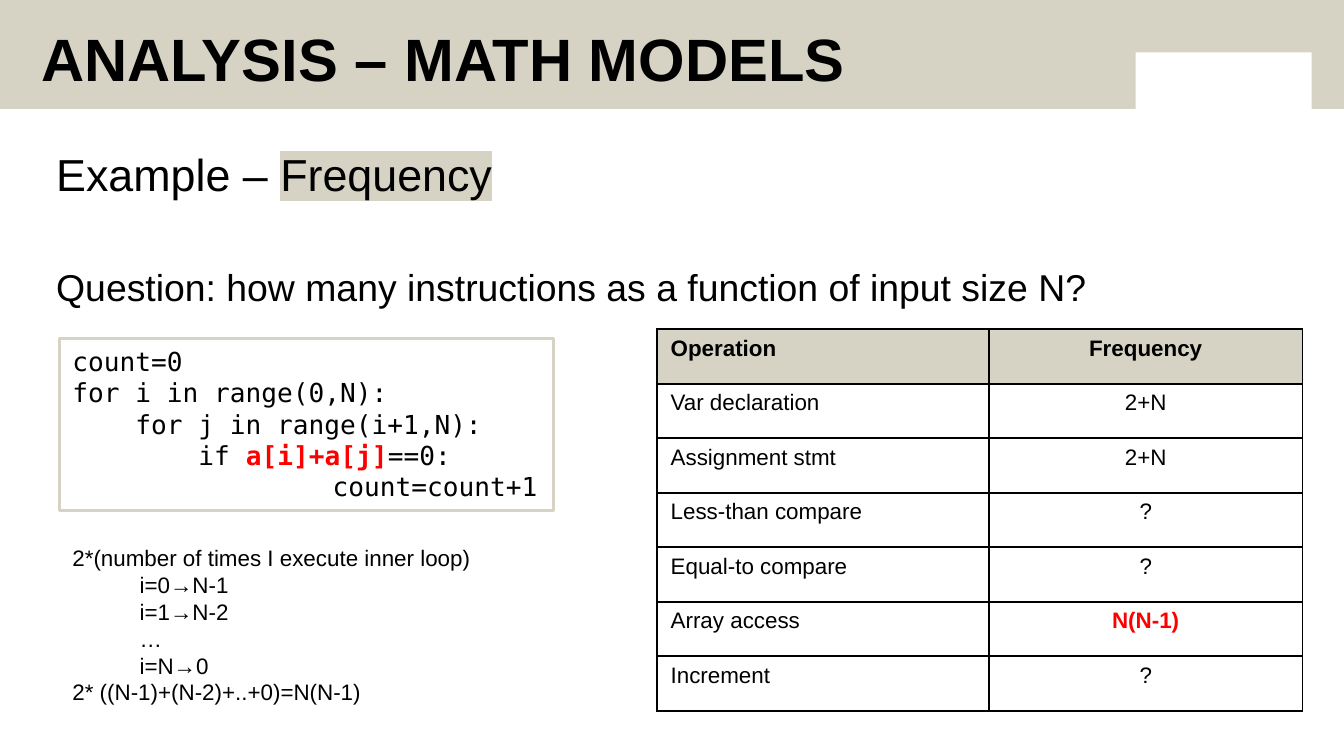
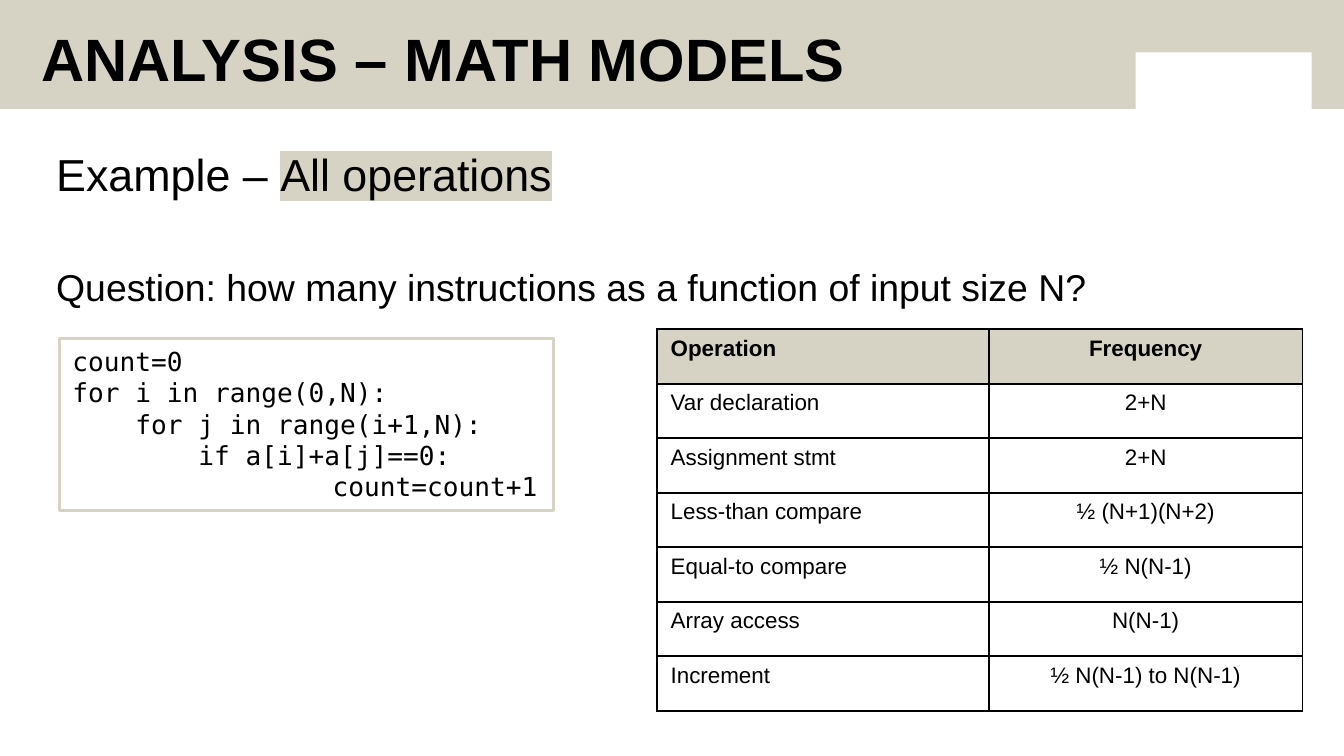
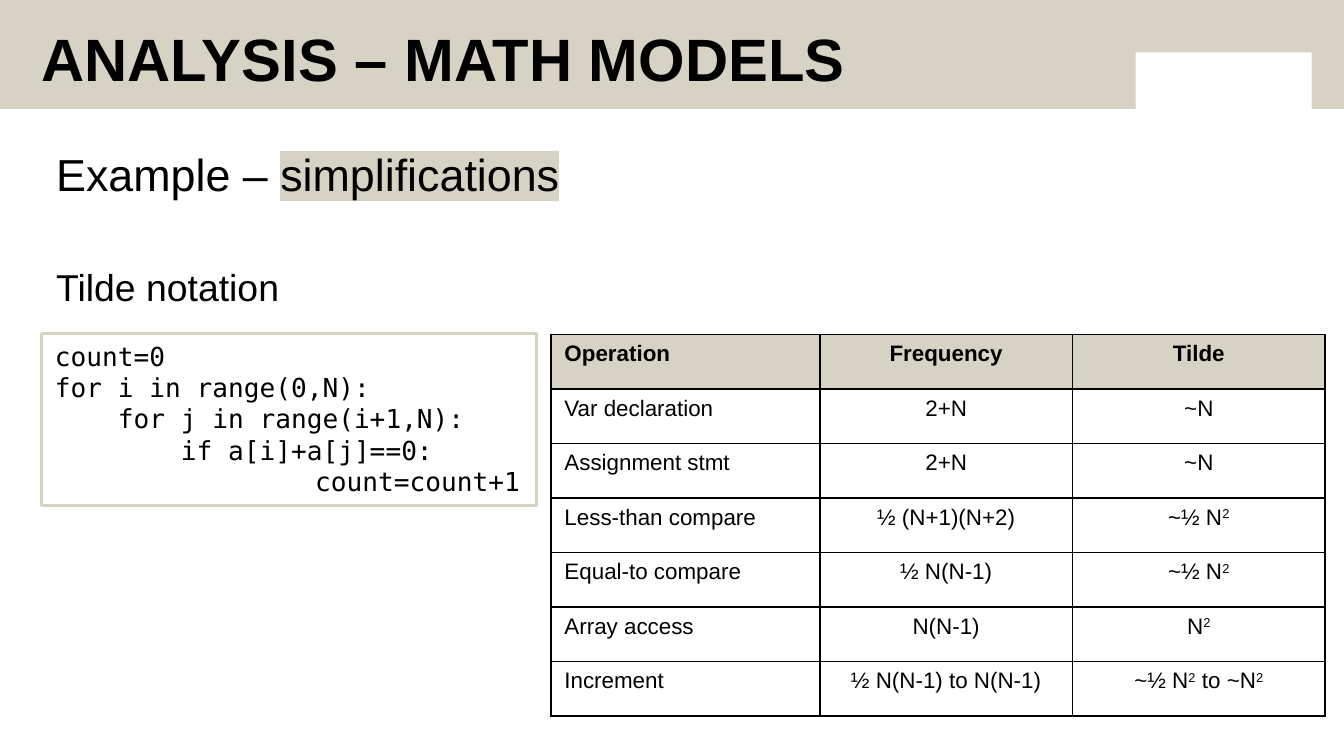
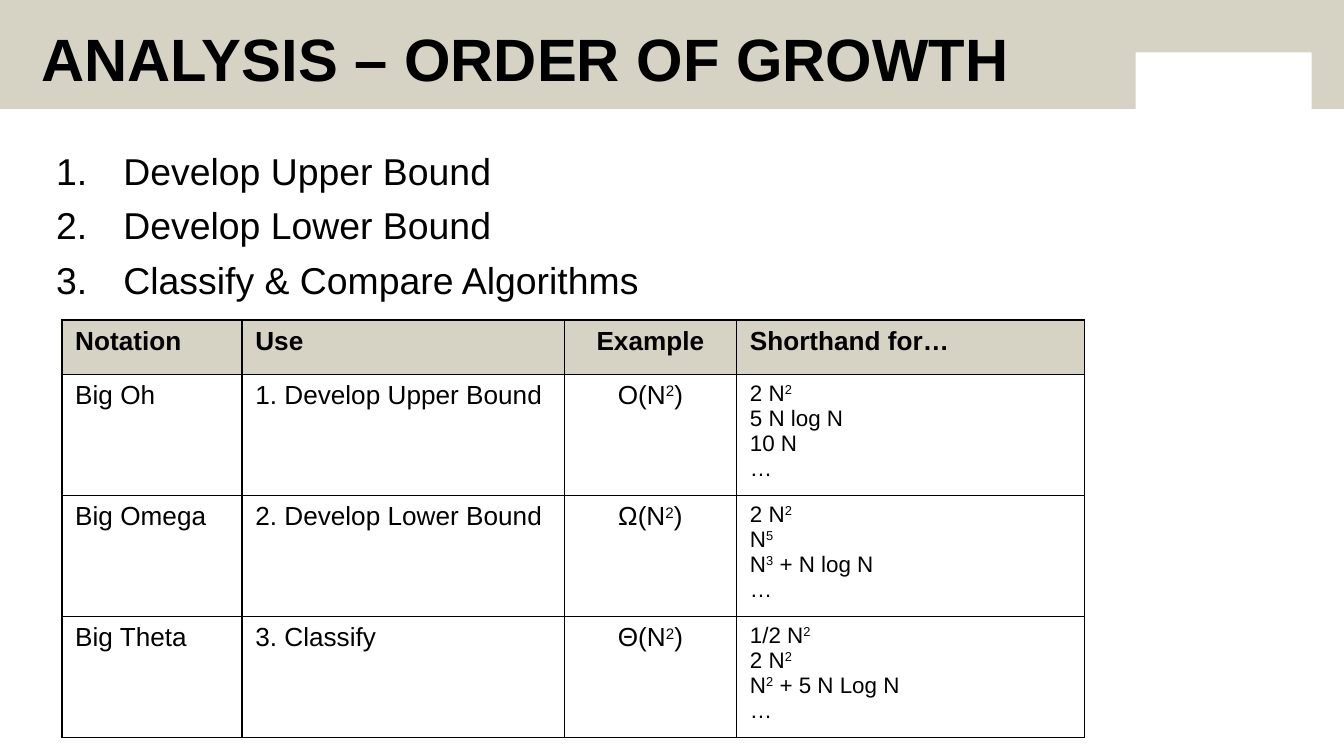
from dataclasses import dataclass

from lxml import etree
from pptx import Presentation, util as u
from pptx.dml.color import RGBColor
from pptx.enum import shapes, text
from pptx.oxml import ns


@dataclass(frozen=True)
class Theme:
    """Colours, fonts and type sizes shared by the slides."""
    band: str = "D6D2C4"
    ink: str = "000000"
    accent: str = "FF0000"
    sans: str = "Arial"
    mono: str = "DejaVu Sans Mono"
    title: int = 32
    heading: int = 24
    body: int = 20
    code: int = 14
    small: int = 12


@dataclass(frozen=True)
class Run:
    """A stretch of text with one look."""
    text: str
    bold: bool = False
    color: str = Theme.ink
    highlight: bool = False
    raised: bool = False


THEME = Theme()
LEFT, CENTER = text.PP_ALIGN.LEFT, text.PP_ALIGN.CENTER
OPERATIONS = ["Var declaration", "Assignment stmt", "Less-than compare",
              "Equal-to compare", "Array access", "Increment"]
FREQUENCIES = ["2+N", "2+N", "½ (N+1)(N+2)", "½ N(N-1)", "N(N-1)", "½ N(N-1) to N(N-1)"]
TILDES = ["~N", "~N", "~½ N^2", "~½ N^2", "N^2", "~½ N^2 to ~N^2"]
QUESTION = "Question: how many instructions as a function of input size N?"
MATH_TITLE = "ANALYSIS – MATH MODELS"
CODE_BOX = (0.44, 2.52, 3.68, 1.28)
OPERATIONS_BOX = (4.89, 2.45, 4.8, 2.84)
ROW_HEIGHT = 2.84 / 7


def rgb(color):
    """Return a colour object for a hex string."""
    return RGBColor.from_string(color)


def inches(box):
    """Turn a sequence of numbers into lengths."""
    return [u.Inches(value) for value in box]


def add_child(parent, tag, **attributes):
    """Append a DrawingML element to a parent."""
    return etree.SubElement(parent, ns.qn(tag), **attributes)


def as_runs(content, bold=False):
    """Split a string into runs, raising the character after each caret."""
    if not isinstance(content, str):
        return content
    first, *powers = content.split("^")
    runs = [Run(first, bold)]
    for part in powers:
        runs += [Run(part[0], bold, raised=True), Run(part[1:], bold)]
    return [run for run in runs if run.text]


def write(paragraph, content, size, font=THEME.sans, bold=False):
    """Write content into a paragraph run by run."""
    for item in as_runs(content, bold):
        run = paragraph.add_run()
        run.text = item.text
        run.font.size, run.font.name, run.font.bold = u.Pt(size), font, item.bold
        run.font.color.rgb = rgb(item.color)
        properties = run.font._element
        if item.raised:
            properties.set("baseline", "30000")
        if item.highlight:
            highlight = etree.Element(ns.qn("a:highlight"))
            add_child(highlight, "a:srgbClr", val=THEME.band)
            properties.find(ns.qn("a:solidFill")).addnext(highlight)


def paragraphs(frame, count):
    """Yield the given number of paragraphs of an empty frame."""
    for index in range(count):
        yield frame.add_paragraph() if index else frame.paragraphs[0]


def add_text_box(slide, box, wrap=True):
    """Add a text box and return its frame."""
    frame = slide.shapes.add_textbox(*inches(box)).text_frame
    frame.word_wrap = wrap
    return frame


def add_band(slide, box, notch_left, notch_top, notch_right):
    """Add the title band with a plain notch in its lower edge."""
    left, top, width, height = box
    right, bottom = left + width, top + height
    corners = [(left, bottom), (notch_left, bottom), (notch_left, notch_top),
               (notch_right, notch_top), (notch_right, bottom),
               (right, bottom), (right, top)]
    builder = slide.shapes.build_freeform(*inches((left, top)))
    builder.add_line_segments([inches(corner) for corner in corners])
    band = builder.convert_to_shape()
    band.shadow.inherit = False
    band.fill.solid()
    band.fill.fore_color.rgb = rgb(THEME.band)
    band.line.fill.background()


def add_titled_slide(presentation, title):
    """Add a slide with the title band."""
    slide = presentation.slides.add_slide(presentation.slide_layouts[6])
    add_band(slide, (0, 0, 10, 0.81), 8.45, 0.39, 9.76)
    frame = add_text_box(slide, (0.21, 0.17, 8.62, 0.64))
    frame.vertical_anchor = text.MSO_ANCHOR.TOP
    frame.paragraphs[0].line_spacing = 0.9
    write(frame.paragraphs[0], title, THEME.title, bold=True)
    return slide


def add_body(slide):
    """Add the main text area and return its frame."""
    return add_text_box(slide, (0.32, 1.09, 9.14, 4.1))


def add_heading(slide, topic, statement):
    """Write the highlighted example topic and the statement below it."""
    heading, line = paragraphs(add_body(slide), 2)
    heading.line_spacing = line.line_spacing = 0.9
    line.space_before = u.Pt(36.5)
    write(heading, [Run("Example – "), Run(topic, highlight=True)], THEME.heading)
    write(line, statement, THEME.body)


def add_steps(slide, steps):
    """Write a numbered list in the main text area."""
    for index, paragraph in enumerate(paragraphs(add_body(slide), len(steps))):
        properties = paragraph._p.get_or_add_pPr()
        properties.set("marL", str(u.Inches(0.5)))
        properties.set("indent", str(u.Inches(-0.5)))
        add_child(properties, "a:buFont", typeface="+mj-lt")
        add_child(properties, "a:buAutoNum", type="arabicPeriod")
        paragraph.line_spacing = 0.9
        if index:
            paragraph.space_before = u.Pt(7.5)
        write(paragraph, steps[index], THEME.body)


def add_code(slide, box, marked=False):
    """Add the framed pair-counting code, optionally marking array access."""
    access = Run("a[i]+a[j]", marked, THEME.accent if marked else THEME.ink)
    condition = [Run("        if "), access, Run("==0:")]
    lines = ["count=0", "for i in range(0,N):", "    for j in range(i+1,N):",
             condition if marked else "        if a[i]+a[j]==0:",
             "\t        count=count+1"]
    shape = slide.shapes.add_shape(shapes.MSO_SHAPE.RECTANGLE, *inches(box))
    shape.shadow.inherit = False
    shape.fill.background()
    shape.line.color.rgb = rgb(THEME.band)
    shape.line.width = u.Pt(1.5)
    frame = shape.text_frame
    frame.word_wrap = False
    frame.vertical_anchor = text.MSO_ANCHOR.TOP
    for paragraph, line in zip(paragraphs(frame, len(lines)), lines):
        tabs = add_child(paragraph._p.get_or_add_pPr(), "a:tabLst")
        add_child(tabs, "a:tab", pos=str(u.Inches(1)), algn="l")
        paragraph.alignment = LEFT
        write(paragraph, line, THEME.code, THEME.mono)


def add_loop_count(slide, box):
    """Explain how often the inner loop runs."""
    rounds = ["i=0→N-1", "i=1→N-2", "…", "i=N→0"]
    lines = ["2*(number of times I execute inner loop)", *rounds,
             "2* ((N-1)+(N-2)+..+0)=N(N-1)"]
    frame = add_text_box(slide, box, wrap=False)
    for paragraph, line in zip(paragraphs(frame, len(lines)), lines):
        if line in rounds:
            paragraph.level = 1
            paragraph._p.get_or_add_pPr().set("marL", str(u.Inches(0.5)))
        write(paragraph, line, THEME.small)


def style_cell(cell, header):
    """Give a cell black borders and the header or plain fill."""
    properties = cell._tc.get_or_add_tcPr()
    for side in ("a:lnL", "a:lnR", "a:lnT", "a:lnB"):
        border = add_child(properties, side, w=str(u.Pt(1)))
        add_child(add_child(border, "a:solidFill"), "a:srgbClr", val=THEME.ink)
    if header:
        cell.fill.solid()
        cell.fill.fore_color.rgb = rgb(THEME.band)
    else:
        cell.fill.background()


def add_grid(slide, box, widths, rows, centered, size):
    """Add a bordered table; a list of strings in a cell gives small lines."""
    graphic = slide.shapes.add_table(len(rows), len(widths), *inches(box))
    table = graphic.table
    for column, width in zip(table.columns, widths):
        column.width = u.Inches(width)
    for row in table.rows:
        row.height = u.Inches(ROW_HEIGHT)
    graphic.width, graphic.height = inches(box[2:])
    for row_index, values in enumerate(rows):
        header = row_index == 0
        for column_index, value in enumerate(values):
            cell = table.cell(row_index, column_index)
            style_cell(cell, header)
            several = isinstance(value, list)
            lines = value if several else [value]
            for paragraph, line in zip(paragraphs(cell.text_frame, len(lines)), lines):
                paragraph.alignment = CENTER if column_index in centered else LEFT
                write(paragraph, line, THEME.small if several else size, bold=header)


def add_operations(slide, box, widths, **columns):
    """Tabulate operations against the named columns of counts."""
    rows = [("Operation", *columns), *zip(OPERATIONS, *columns.values())]
    add_grid(slide, box, widths, rows, range(1, len(widths)), THEME.small)


def build_frequency(presentation):
    """Build the slide that counts array accesses."""
    slide = add_titled_slide(presentation, MATH_TITLE)
    add_heading(slide, "Frequency", QUESTION)
    add_code(slide, CODE_BOX, marked=True)
    add_loop_count(slide, (0.44, 4, 3.19, 1.31))
    answer = (Run("N(N-1)", True, THEME.accent),)
    add_operations(slide, OPERATIONS_BOX, (2.47, 2.33),
                   Frequency=["2+N", "2+N", "?", "?", answer, "?"])


def build_all_operations(presentation):
    """Build the slide that counts every operation."""
    slide = add_titled_slide(presentation, MATH_TITLE)
    add_heading(slide, "All operations", QUESTION)
    add_code(slide, CODE_BOX)
    add_operations(slide, OPERATIONS_BOX, (2.47, 2.33), Frequency=FREQUENCIES)


def build_simplifications(presentation):
    """Build the slide on tilde notation."""
    slide = add_titled_slide(presentation, MATH_TITLE)
    add_heading(slide, "simplifications", "Tilde notation")
    add_operations(slide, (4.1, 2.49, 5.77, 2.84), (2, 1.88, 1.88),
                   Frequency=FREQUENCIES, Tilde=TILDES)
    add_code(slide, (0.31, 2.48, 3.68, 1.28))


def build_order_of_growth(presentation):
    """Build the slide on asymptotic notation."""
    slide = add_titled_slide(presentation, "ANALYSIS – ORDER OF GROWTH")
    add_steps(slide, ["Develop Upper Bound", "Develop Lower Bound",
                      "Classify & Compare Algorithms"])
    rows = [
        ("Notation", "Use", "Example", "Shorthand for…"),
        ("Big Oh", "1. Develop Upper Bound", "Ο(N^2)",
         ["2 N^2", "5 N log N", "10 N", "…"]),
        ("Big Omega", "2. Develop Lower Bound", "Ω(N^2)",
         ["2 N^2", "N^5", "N^3 + N log N", "…"]),
        ("Big Theta", "3. Classify", "Θ(N^2)",
         ["1/2 N^2", "2 N^2", "N^2 + 5 N Log N", "…"]),
    ]
    add_grid(slide, (0.46, 2.38, 7.61, 3.11), (1.34, 2.4, 1.28, 2.59), rows,
             (2,), THEME.code)


def main():
    """Build and save the presentation."""
    presentation = Presentation()
    presentation.slide_width = u.Inches(10)
    presentation.slide_height = u.Inches(10 * 9 / 16)
    for build in (build_frequency, build_all_operations,
                  build_simplifications, build_order_of_growth):
        build(presentation)
    presentation.save("out.pptx")


if __name__ == "__main__":
    main()
